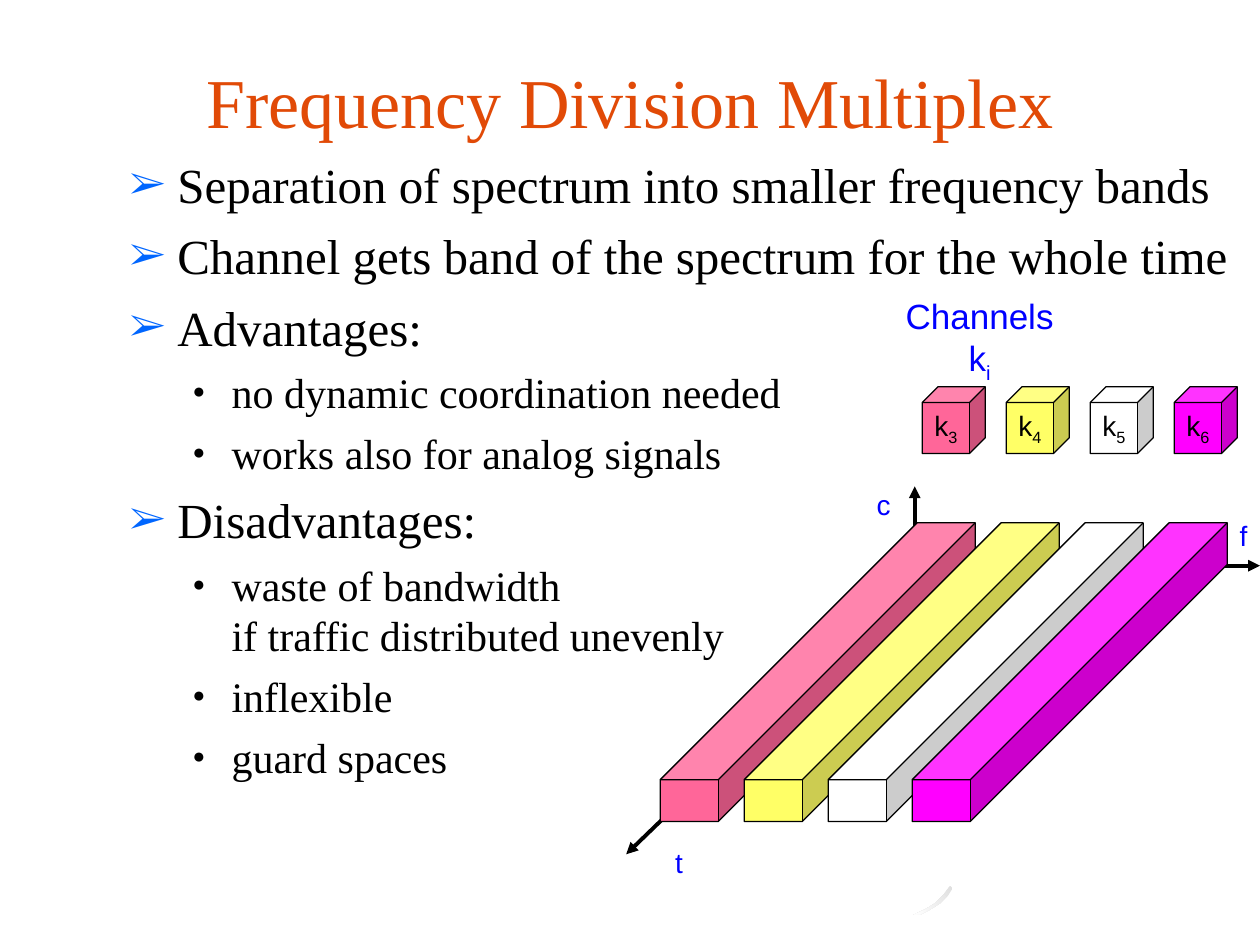
from typing import NamedTuple

import pptx
import pptx.dml.color
import pptx.enum.shapes
import pptx.enum.text
import pptx.oxml
import pptx.oxml.ns
import pptx.util
from pptx.util import Inches

SHAPE = pptx.enum.shapes.MSO_SHAPE
ALIGN = pptx.enum.text.PP_ALIGN
ANCHOR = pptx.enum.text.MSO_ANCHOR
SERIF, SANS = "Times New Roman", "Arial"
BLACK, BLUE = "000000", "0000FF"
CHANNEL_STEP = 2 / 3


class BulletStyle(NamedTuple):
    size: int
    left: float
    hanging: float
    space_before: int
    character: str
    colour: str
    percent: int


class Item(NamedTuple):
    level: int
    text: str


class Channel(NamedTuple):
    number: str
    colour: str


class Axis(NamedTuple):
    start: tuple[float, float]
    tip: tuple[float, float]


class Label(NamedTuple):
    text: str
    box: tuple[float, float, float, float]


BULLET_STYLES = [
    BulletStyle(28, 0.38, 0.38, 7, "➢", "0066FF", 80),
    BulletStyle(24, 0.81, 0.31, 6, "●", BLACK, 50),
]
ITEMS = [
    Item(0, "Separation of spectrum into smaller frequency bands"),
    Item(0, "Channel gets band of the spectrum for the whole time"),
    Item(0, "Advantages:"),
    Item(1, "no dynamic coordination needed"),
    Item(1, "works also for analog signals"),
    Item(0, "Disadvantages:"),
    Item(1, "waste of bandwidth\vif traffic distributed unevenly"),
    Item(1, "inflexible"),
    Item(1, "guard spaces"),
]
CHANNELS = [
    Channel("3", "FF6699"),
    Channel("4", "FFFF66"),
    Channel("5", "FFFFFF"),
    Channel("6", "FF00FF"),
]
AXES = [
    Axis((7.3, 4.53), (4.97, 6.78)),
    Axis((7.26, 4.52), (7.26, 3.86)),
    Axis((7.11, 4.49), (10, 4.49)),
]
AXIS_LABELS = [
    Label("f", (9.74, 4.07, 0.26, 0.37)),
    Label("t", (5.26, 6.66, 0.26, 0.37)),
    Label("c", (6.86, 3.82, 0.31, 0.37)),
]
SWOOSH = [
    (7.25, 7.26), (7.3, 7.26), (7.38, 7.22), (7.46, 7.17), (7.52, 7.11), (7.56, 7.05),
    (7.55, 7.04), (7.54, 7.03), (7.49, 7.1), (7.42, 7.17), (7.34, 7.22),
]


def rgb(colour: str) -> pptx.dml.color.RGBColor:
    return pptx.dml.color.RGBColor.from_string(colour)


def add_element(parent, tag: str, **attributes: str) -> None:
    element = pptx.oxml.parse_xml(f"<{tag} {pptx.oxml.ns.nsdecls('a')}/>")
    for name, value in attributes.items():
        element.set(name, value)
    parent.append(element)


def format_runs(paragraph, name: str, size: int, colour: str) -> None:
    for run in paragraph.runs:
        run.font.name = name
        run.font.size = pptx.util.Pt(size)
        run.font.color.rgb = rgb(colour)


def add_subscript(paragraph, text: str) -> None:
    run = paragraph.add_run()
    run.text = text
    run.font._element.set("baseline", "-25000")


def add_text_frame(slide, box: tuple[float, float, float, float], wrap: bool):
    text_frame = slide.shapes.add_textbox(*map(Inches, box)).text_frame
    text_frame.word_wrap = wrap
    return text_frame


def add_swoosh(slide) -> None:
    """Draw the faint curved stroke at the foot of the slide."""
    points = [(Inches(x), Inches(y)) for x, y in SWOOSH]
    builder = slide.shapes.build_freeform(*points[0])
    builder.add_line_segments(points[1:], close=True)
    shape = builder.convert_to_shape()
    shape.shadow.inherit = False
    shape.line.fill.background()
    shape.fill.gradient()
    shape.fill.gradient_angle = 225
    for stop, position, colour in zip(shape.fill.gradient_stops, (0, 1), ("DFDFDF", "FFFFFF")):
        stop.position = position
        stop.color.rgb = rgb(colour)


def add_axis(slide, axis: Axis) -> None:
    connector = slide.shapes.add_connector(
        pptx.enum.shapes.MSO_CONNECTOR.STRAIGHT, *map(Inches, axis.start + axis.tip)
    )
    connector.line.color.rgb = rgb(BLACK)
    connector.line.width = pptx.util.Pt(2.25)
    add_element(connector.line._get_or_add_ln(), "a:tailEnd", type="triangle")
    add_element(connector._element.spPr, "a:effectLst")


def add_title(slide) -> None:
    text_frame = add_text_frame(slide, (0.5, 0.17, 9, 1.25), True)
    text_frame.vertical_anchor = ANCHOR.MIDDLE
    text_frame.text = "Frequency Division Multiplex"
    paragraph = text_frame.paragraphs[0]
    paragraph.alignment = ALIGN.CENTER
    format_runs(paragraph, SERIF, 40, "E14A07")


def add_bullet_list(slide) -> None:
    text_frame = add_text_frame(slide, (0.93, 1.18, 9.07, 5.09), True)
    for index, item in enumerate(ITEMS):
        style = BULLET_STYLES[item.level]
        paragraph = text_frame.add_paragraph() if index else text_frame.paragraphs[0]
        paragraph.text = item.text
        paragraph.level = item.level
        properties = paragraph._p.get_or_add_pPr()
        properties.set("marL", str(Inches(style.left)))
        properties.set("indent", str(-Inches(style.hanging)))
        add_element(properties, "a:buClr")
        add_element(properties[-1], "a:srgbClr", val=style.colour)
        add_element(properties, "a:buSzPct", val=str(style.percent * 1000))
        add_element(properties, "a:buFont", typeface=SERIF)
        add_element(properties, "a:buChar", char=style.character)
        paragraph.space_before = pptx.util.Pt(style.space_before if index else 0)
        format_runs(paragraph, SERIF, style.size, BLACK)


def add_cube(slide, box: tuple[float, float, float, float], depth: float, colour: str):
    cube = slide.shapes.add_shape(SHAPE.CUBE, *map(Inches, box))
    cube.adjustments[0] = depth
    cube.shadow.inherit = False
    cube.fill.solid()
    cube.fill.fore_color.rgb = rgb(colour)
    cube.line.color.rgb = rgb(BLACK)
    cube.line.width = pptx.util.Pt(0.75)
    return cube


def add_channel_key(slide, left: float, channel: Channel) -> None:
    text_frame = add_cube(slide, (left, 3.07, 0.5, 0.53), 0.25, channel.colour).text_frame
    text_frame.word_wrap = False
    text_frame.vertical_anchor = ANCHOR.MIDDLE
    text_frame.text = "k"
    paragraph = text_frame.paragraphs[0]
    paragraph.alignment = ALIGN.CENTER
    add_subscript(paragraph, channel.number)
    format_runs(paragraph, SANS, 16, BLACK)


def add_axis_label(slide, label: Label) -> None:
    text_frame = add_text_frame(slide, label.box, False)
    text_frame.text = label.text
    format_runs(text_frame.paragraphs[0], SANS, 16, BLUE)


def add_key_heading(slide) -> None:
    text_frame = add_text_frame(slide, (6.99, 2.29, 1.57, 0.82), False)
    text_frame.text = "Channels\nk"
    add_subscript(text_frame.paragraphs[1], "i")
    for paragraph in text_frame.paragraphs:
        paragraph.alignment = ALIGN.CENTER
        format_runs(paragraph, SANS, 20, BLUE)


def main() -> None:
    presentation = pptx.Presentation()
    presentation.slide_width, presentation.slide_height = Inches(10), Inches(7.5)
    slide = presentation.slides.add_slide(presentation.slide_layouts[6])
    add_swoosh(slide)
    for axis in AXES:
        add_axis(slide, axis)
    add_title(slide)
    add_bullet_list(slide)
    for index, channel in enumerate(CHANNELS):
        offset = index * CHANNEL_STEP
        add_cube(slide, (5.24 + offset, 4.15, 2.5, 2.37), 0.86, channel.colour)
        add_channel_key(slide, 7.32 + offset, channel)
    for label in AXIS_LABELS:
        add_axis_label(slide, label)
    add_key_heading(slide)
    presentation.save("out.pptx")


if __name__ == "__main__":
    main()
